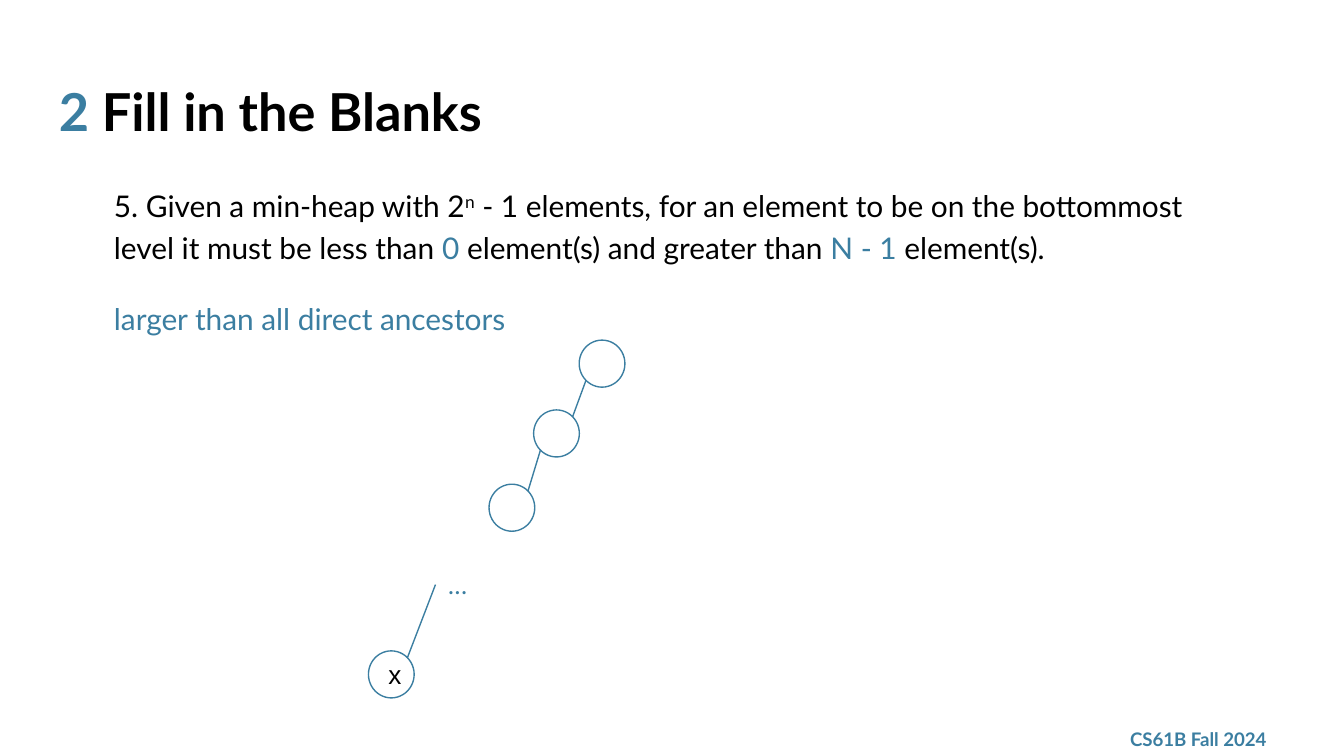
from pptx import Presentation
from pptx.dml.color import RGBColor
from pptx.enum.shapes import MSO_CONNECTOR, MSO_SHAPE
from pptx.enum.text import MSO_ANCHOR
from pptx.oxml.ns import qn
from pptx.util import Pt
from lxml.etree import SubElement

COLORS = {"blue": "3B7EA1", "black": "000000"}


def write(paragraph, runs, **formats):
    """Add (text, colour) runs that share the given font formats."""
    for text, color in runs:
        run = paragraph.add_run()
        run.text = text
        run.font.color.rgb = RGBColor.from_string(COLORS[color])
        for key, value in formats.items():
            setattr(run.font, key, value)


def add_text(left, top, width, height, anchor=MSO_ANCHOR.TOP):
    frame = slide.shapes.add_textbox(Pt(left), Pt(top), Pt(width), Pt(height)).text_frame
    frame.word_wrap = True
    frame.vertical_anchor = anchor
    for side in ("left", "top", "right", "bottom"):
        setattr(frame, f"margin_{side}", Pt(7.2))
    return frame


deck = Presentation()
deck.slide_width, deck.slide_height = Pt(720), Pt(405)
slide = deck.slides.add_slide(deck.slide_layouts[6])

# Footer and title
footer = add_text(598.3, 386.6, 97.2, 18.7, MSO_ANCHOR.MIDDLE)
write(footer.paragraphs[0], [("CS61B Fall 2024", "blue")], name="Lato", size=Pt(10), bold=True)

title = add_text(24.5, 35, 671, 45)
write(title.paragraphs[0], [("2", "blue"), (" Fill in the Blanks", "black")],
      name="Lato", size=Pt(28), bold=True)

# Question and hint
body = add_text(54, 90.7, 595.4, 95.8)
question, hint = body.paragraphs[0], body.add_paragraph()
write(question, [
    ("5. Given a min-heap with 2", "black"),
    ("n", "black"),
    (" - 1 elements, for an element to be on the bottommost level it must be less than ", "black"),
    ("0", "blue"),
    (" element(s) and greater than ", "black"),
    ("N - 1", "blue"),
    (" element(s).", "black"),
], name="Lato", size=Pt(16))
exponent = question.runs[1]
exponent.font._element.set("baseline", "30000")
write(hint, [("larger than all direct ancestors", "blue")], name="Lato", size=Pt(16))
question.line_spacing = hint.line_spacing = 1.15
hint.space_before = hint.space_after = Pt(16)

# Heap nodes, from the root down to x
NODE_W, NODE_H = 24.5, 25.2
nodes = [(310.3, 182.2), (285.9, 219.6), (262, 259.4), (197.4, 348.7)]
for left, top in nodes:
    node = slide.shapes.add_shape(MSO_SHAPE.OVAL, Pt(left), Pt(top), Pt(NODE_W), Pt(NODE_H))
    node.shadow.inherit = False
    node.fill.background()
    node.line.color.rgb = RGBColor.from_string(COLORS["blue"])
    node.line.width = Pt(0.75)

# The last node is x
label = node.text_frame
label.vertical_anchor = MSO_ANCHOR.MIDDLE
for side in ("left", "top", "right", "bottom"):
    setattr(label, f"margin_{side}", Pt(7.2))
write(label.paragraphs[0], [("x", "black")], name="Arial", size=Pt(14))
label.paragraphs[0].alignment = 1  # left

# Skipped levels
ellipsis = add_text(233.3, 297.4, 46, 31.7)
write(ellipsis.paragraphs[0], [("…", "blue")], name="Calibri", size=Pt(14))

# Edges run from a parent's lower left to its child's upper right
NEAR, FAR = 0.15, 0.85
starts = [(left + NEAR * NODE_W, top + FAR * NODE_H) for left, top in nodes[:2]]
starts.append((233.3, 313.2))
children = [nodes[1], nodes[2], nodes[3]]
for (x, y), (left, top) in zip(starts, children):
    edge = slide.shapes.add_connector(
        MSO_CONNECTOR.STRAIGHT, Pt(x), Pt(y),
        Pt(left + FAR * NODE_W), Pt(top + NEAR * NODE_H))
    edge.line.color.rgb = RGBColor.from_string(COLORS["blue"])
    edge.line.width = Pt(0.75)
    SubElement(edge._element.spPr, qn("a:effectLst"))

deck.save("out.pptx")
